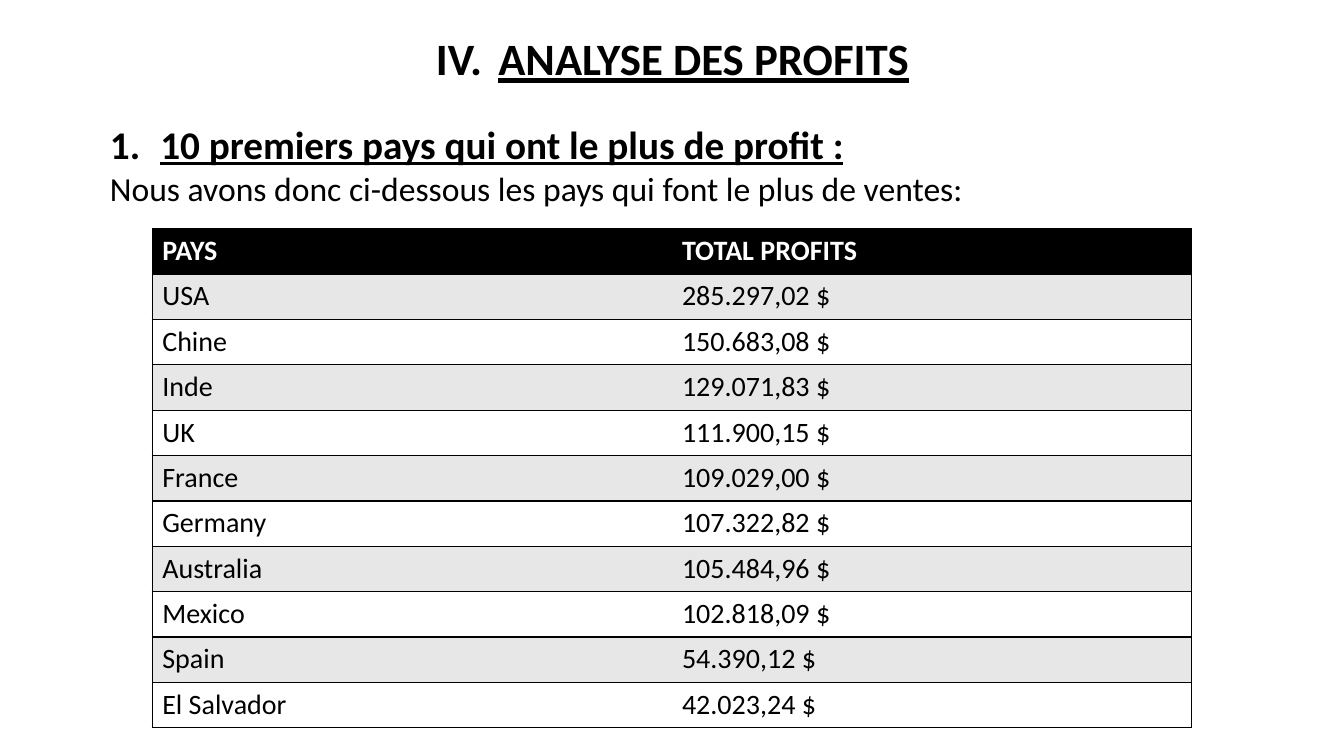
import dataclasses

import lxml.etree
import pptx
import pptx.dml.color
import pptx.enum.text
import pptx.oxml.ns
import pptx.util

SLIDE_WIDTH = 13.33
SLIDE_HEIGHT = 7.5


@dataclasses.dataclass(frozen=True)
class Theme:
    font: str = "Calibri"
    ink: str = "000000"
    paper: str = "FFFFFF"
    band: str = "E7E7E7"
    title_size: int = 32
    heading_size: int = 28
    body_size: int = 24
    table_size: int = 20
    border_width: int = 1
    plain_table_style: str = "{2D5ABB26-0587-4C30-8999-92F81FD0307C}"


THEME = Theme()

PROFITS = [
    ("PAYS", "TOTAL PROFITS"),
    ("USA", "285.297,02 $"),
    ("Chine", "150.683,08 $"),
    ("Inde", "129.071,83 $"),
    ("UK", "111.900,15 $"),
    ("France", "109.029,00 $"),
    ("Germany", "107.322,82 $"),
    ("Australia", "105.484,96 $"),
    ("Mexico", "102.818,09 $"),
    ("Spain", "54.390,12 $"),
    ("El Salvador", "42.023,24 $"),
]


def add_child(parent, tag, **attributes):
    child = lxml.etree.SubElement(parent, pptx.oxml.ns.qn(tag))
    for name, value in attributes.items():
        child.set(name, str(value))
    return child


def inches(box):
    return [pptx.util.Inches(length) for length in box]


def write_text(paragraph, text, size, color=THEME.ink, bold=False, underline=False,
               alignment=pptx.enum.text.PP_ALIGN.LEFT, line_spacing=None, space_before=0):
    paragraph.alignment = alignment
    paragraph.space_before = pptx.util.Pt(space_before)
    if line_spacing:
        paragraph.line_spacing = line_spacing
    run = paragraph.add_run()
    run.text = text
    run.font.name = THEME.font
    run.font.size = pptx.util.Pt(size)
    run.font.bold = bold
    run.font.underline = underline
    run.font.color.rgb = pptx.dml.color.RGBColor.from_string(color)


def number_paragraph(paragraph, scheme, start, indent):
    properties = paragraph._p.get_or_add_pPr()
    properties.set("marL", str(pptx.util.Inches(indent)))
    properties.set("indent", str(-pptx.util.Inches(indent)))
    add_child(properties, "a:buFont", typeface="+mj-lt")
    add_child(properties, "a:buAutoNum", type=scheme, startAt=start)


def add_text_frame(slide, box):
    frame = slide.shapes.add_textbox(*inches(box)).text_frame
    frame.word_wrap = True
    return frame


def add_title(slide, box):
    paragraph = add_text_frame(slide, box).paragraphs[0]
    write_text(paragraph, "ANALYSE DES PROFITS", THEME.title_size, bold=True, underline=True,
               alignment=pptx.enum.text.PP_ALIGN.CENTER, line_spacing=0.9, space_before=10)
    number_paragraph(paragraph, "romanUcPeriod", 4, 0.62)


def add_introduction(slide, box):
    frame = add_text_frame(slide, box)
    frame.vertical_anchor = pptx.enum.text.MSO_ANCHOR.MIDDLE
    frame.margin_left = pptx.util.Inches(0.5)
    frame.margin_bottom = 0
    heading = frame.paragraphs[0]
    write_text(heading, "10 premiers pays qui ont le plus de profit :", THEME.heading_size,
               bold=True, underline=True, line_spacing=2.0)
    number_paragraph(heading, "arabicPeriod", 1, 0.5)
    write_text(frame.add_paragraph(),
               "Nous avons donc ci-dessous les pays qui font le plus de ventes:", THEME.body_size)


def style_cell(cell, fill, sides):
    properties = cell._tc.get_or_add_tcPr()
    for side in sides:
        line = add_child(properties, f"a:ln{side}", w=pptx.util.Pt(THEME.border_width))
        add_child(add_child(line, "a:solidFill"), "a:srgbClr", val=THEME.ink)
    cell.fill.solid()
    cell.fill.fore_color.rgb = pptx.dml.color.RGBColor.from_string(fill)


def add_profit_table(slide, box, rows):
    table = slide.shapes.add_table(len(rows), len(rows[0]), *inches(box)).table
    table.horz_banding = False
    style = table._tbl.tblPr.find(pptx.oxml.ns.qn("a:tableStyleId"))
    style.text = THEME.plain_table_style
    for row_index, row in enumerate(rows):
        header = row_index == 0
        fill = THEME.ink if header else THEME.band if row_index % 2 else THEME.paper
        color = THEME.paper if header else THEME.ink
        for column_index, text in enumerate(row):
            cell = table.cell(row_index, column_index)
            style_cell(cell, fill, ("R" if column_index else "L") + "TB")
            write_text(cell.text_frame.paragraphs[0], text, THEME.table_size,
                       color=color, bold=header)


def add_profit_slide(presentation):
    slide = presentation.slides.add_slide(presentation.slide_layouts[6])
    add_introduction(slide, (0.59, 0.67, 12.15, 1.4))
    add_title(slide, (0.92, 0.32, 11.5, 0.69))
    add_profit_table(slide, (1.51, 2.27, 10.31, 0.45 * len(PROFITS)), PROFITS)


def main():
    presentation = pptx.Presentation()
    presentation.slide_width = pptx.util.Inches(SLIDE_WIDTH)
    presentation.slide_height = pptx.util.Inches(SLIDE_HEIGHT)
    add_profit_slide(presentation)
    presentation.save("out.pptx")


if __name__ == "__main__":
    main()
